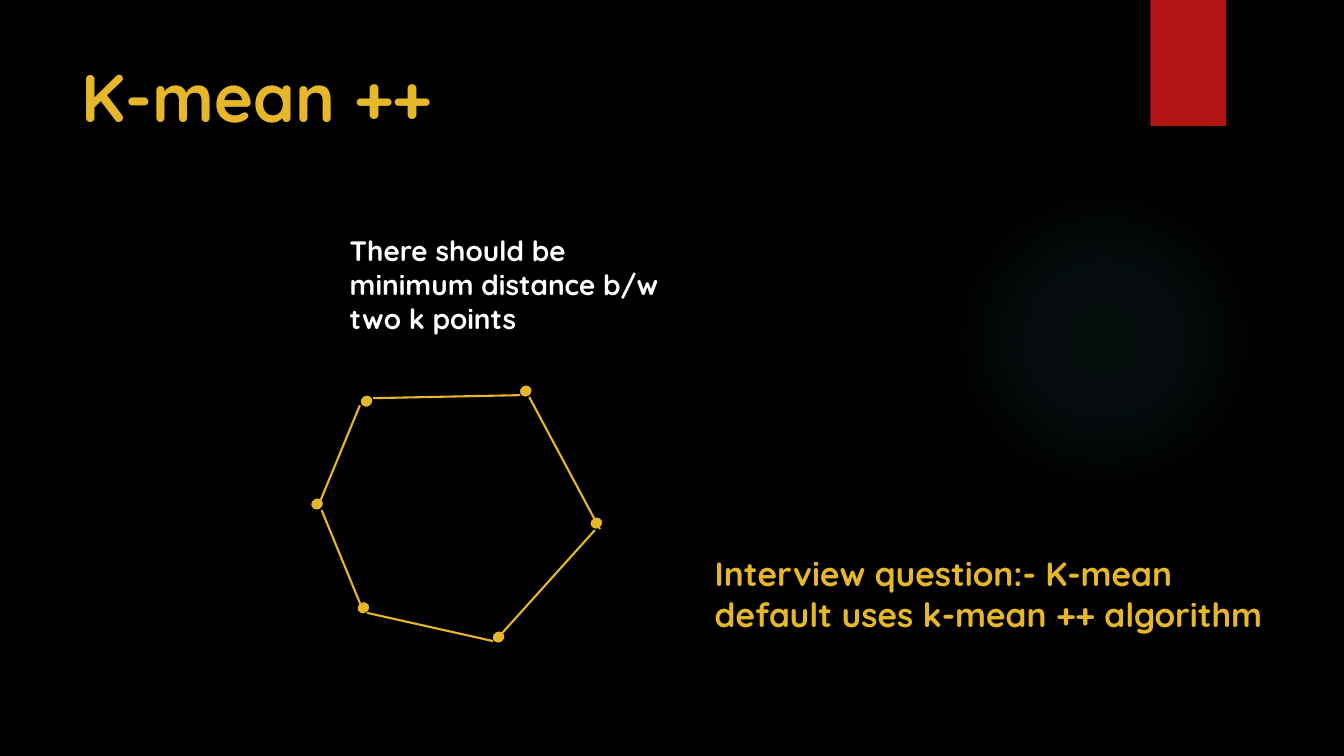
from lxml import etree
from pptx import Presentation
from pptx import util as u
from pptx.dml.color import RGBColor
from pptx.enum import shapes, text
from pptx.oxml import ns, parse_xml

WIDE, HIGH = u.Inches(13.33), u.Inches(7.5)
GOLD, WHITE, BLACK, RED, TEAL = "E6B729", "FFFFFF", "000000", "B01513", "50B9C1"
DOT = (0.98, 1.87)

# Places are percentages of the slide's width and height.
DOTS = [(39.12, 51.73), (44.37, 69.2), (37.1, 84.27),
        (27.04, 80.4), (23.59, 66.67), (27.27, 53.07)]
EDGES = [(44.64, 70, 39.38, 52.53), (27.76, 52.67, 38.71, 52.27),
         (23.71, 66.8, 26.78, 53.6), (27.08, 81.07, 23.93, 67.47),
         (36.68, 84.8, 27.31, 81.07), (44.26, 70.13, 36.83, 84.8)]
LABELS = [
    ("K-mean ++", (5.33, 6.67, 77.19, 20.4), 48, GOLD),
    ("There should be minimum distance b/w two k points",
     (25.28, 30.27, 26.26, 14.8), 20, WHITE),
    ("Interview question:- K-mean default uses k-mean ++ algorithm",
     (52.44, 72.53, 43.21, 12.13), 24, GOLD),
]


def paint(form, color):
    form.solid()
    form.fore_color.rgb = RGBColor.from_string(color)


def place(*shares):
    """Turn alternating x and y percentages into lengths."""
    return [round(s * side / 100) for s, side in zip(shares, (WIDE, HIGH) * 2)]


def add_form(slide, kind, box, fill=None):
    form = slide.shapes.add_shape(kind, *place(*box))
    form.shadow.inherit = False
    form.line.fill.background()
    if fill:
        paint(form.fill, fill)
    return form


def add_glow(slide, box, stops):
    """Add a circle whose colour fades out from its centre."""
    glow = add_form(slide, shapes.MSO_SHAPE.OVAL, box)
    marks = "".join(
        f'<a:gs pos="{pos * 1000}"><a:srgbClr val="{TEAL}">'
        f'<a:alpha val="{alpha * 1000}"/></a:srgbClr></a:gs>'
        for pos, alpha in stops)
    grad = parse_xml(
        f'<a:gradFill {ns.nsdecls("a")}><a:gsLst>{marks}</a:gsLst>'
        '<a:path path="circle"><a:fillToRect l="50000" t="50000" '
        'r="50000" b="50000"/></a:path></a:gradFill>')
    glow.element.spPr.find(ns.qn("a:prstGeom")).addnext(grad)


def add_dot(slide, x, y):
    wide, high = DOT
    dot = add_form(slide, shapes.MSO_SHAPE.OVAL,
                   (x - wide / 2, y - high / 2, wide, high), GOLD)
    dot.rotation = 59.7
    paint(dot.line.fill, BLACK)
    dot.line.width = u.Pt(1.5)


def add_edge(slide, ends):
    edge = slide.shapes.add_connector(shapes.MSO_CONNECTOR.STRAIGHT, *place(*ends))
    paint(edge.line.fill, GOLD)
    edge.line.width = u.Pt(1.5)
    etree.SubElement(edge.element.spPr, ns.qn("a:effectLst"))


def add_label(slide, words, box, size, color):
    frame = slide.shapes.add_textbox(*place(*box)).text_frame
    for name, value in {"word_wrap": True,
                        "vertical_anchor": text.MSO_ANCHOR.TOP}.items():
        setattr(frame, name, value)
    run = frame.paragraphs[0].add_run()
    run.text = words
    for name, value in {"name": "Quicksand", "size": u.Pt(size), "bold": True}.items():
        setattr(run.font, name, value)
    paint(run.font.fill, color)


def main():
    deck = Presentation()
    deck.slide_width, deck.slide_height = WIDE, HIGH
    slide = deck.slides.add_slide(deck.slide_layouts[6])
    paint(slide.background.fill, BLACK)
    add_glow(slide, (70.59, 24.4, 23.11, 41.07), [(0, 7), (36, 6), (69, 0)])
    add_form(slide, shapes.MSO_SHAPE.RECTANGLE, (85.6, 0, 5.63, 16.67), RED)
    for x, y in DOTS:
        add_dot(slide, x, y)
    for ends in EDGES:
        add_edge(slide, ends)
    for label in LABELS:
        add_label(slide, *label)
    deck.save("out.pptx")


if __name__ == "__main__":
    main()
